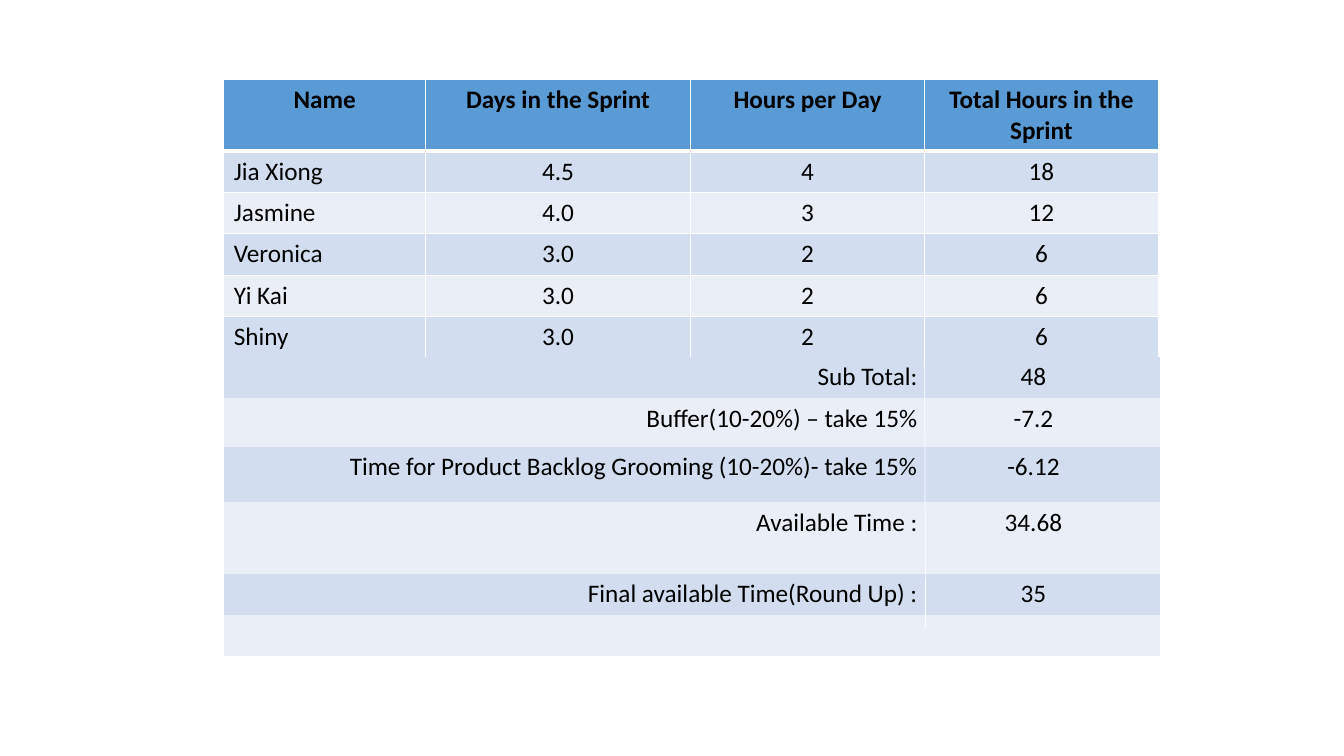
from lxml.etree import SubElement
from pptx import Presentation
from pptx.dml.color import RGBColor
from pptx.enum.shapes import MSO_CONNECTOR as Connector
from pptx.enum.text import PP_ALIGN as Align
from pptx.oxml.ns import qn
from pptx.util import Inches, Pt

HEADINGS = ("Name", "Days in the Sprint", "Hours per Day", "Total Hours in the Sprint")
MEMBERS = [
    ("Jia Xiong", "4.5", "4", "18"),
    ("Jasmine", "4.0", "3", "12"),
    ("Veronica", "3.0", "2", "6"),
    ("Yi Kai", "3.0", "2", "6"),
    ("Shiny", "3.0", "2", "6"),
]
# Label, value, row height
SUMMARY = [
    ("Sub Total:", "48", 0.41),
    ("Buffer(10-20%) – take 15%", "-7.2", 0.48),
    ("Time for Product Backlog Grooming (10-20%)- take 15%", "-6.12", 0.55),
    ("Available Time :", "34.68", 0.71),
    ("Final available Time(Round Up) :", "35", 0.41),
    ("", "", 0.41),
]
THEME = {
    "font": "Calibri",
    "size": 18,
    "text": "000000",
    "header": "5B9BD5",
    "bands": ("D2DEEF", "EAEFF7"),
    "line": "FFFFFF",
    "thin": 1,
    "thick": 3,
    "divider": 0.5,
}
LEFT = 2.22
HOURS_TOP, SUMMARY_TOP = 0.79, 3.54
HOURS_COLUMNS = (2, 2.63, 2.32, 2.32)
HEADER_HEIGHT, ROW_HEIGHT = 0.7, 0.41
SUMMARY_WIDTH = 9.29
SUMMARY_TABS = ((6.78, "r"), (7.93, "ctr"))
DIVIDER = (9.17, 3.46, 9.18, 6.22)
PLAIN_STYLE = "{2D5ABB26-0587-4C30-8999-92F81FD0307C}"


def add_plain_table(slide, top, widths, heights):
    """Add a table without style, so that only cell formats show."""
    frame = slide.shapes.add_table(
        len(heights), len(widths), Inches(LEFT), Inches(top),
        Inches(sum(widths)), Inches(sum(heights)))
    table = frame.table
    table.first_row = table.horz_banding = False
    table._tbl.tblPr.find(qn("a:tableStyleId")).text = PLAIN_STYLE
    for column, width in zip(table.columns, widths):
        column.width = Inches(width)
    for row, height in zip(table.rows, heights):
        row.height = Inches(height)
    return table


def set_borders(cell, widths):
    """Draw the borders; widths are in points by side, in schema order L, R, T, B."""
    properties = cell._tc.get_or_add_tcPr()
    for side, width in widths.items():
        line = SubElement(properties, qn(f"a:ln{side}"), w=str(Pt(width)))
        fill = SubElement(line, qn("a:solidFill"))
        SubElement(fill, qn("a:srgbClr"), val=THEME["line"])


def fill_cell(cell, text, fill, align=Align.LEFT, bold=False):
    cell.fill.solid()
    cell.fill.fore_color.rgb = RGBColor.from_string(fill)
    paragraph = cell.text_frame.paragraphs[0]
    paragraph.alignment = align
    if text:
        paragraph.add_run().text = text
    formats = {"name": THEME["font"], "size": Pt(THEME["size"]), "bold": bold}
    for item in (paragraph, *paragraph.runs):
        for name, value in formats.items():
            setattr(item.font, name, value)
        item.font.color.rgb = RGBColor.from_string(THEME["text"])
    return paragraph


def set_tabs(paragraph, tabs):
    properties = paragraph._p.get_or_add_pPr()
    tab_list = properties.makeelement(qn("a:tabLst"))
    for position, align in tabs:
        SubElement(tab_list, qn("a:tab"), pos=str(Inches(position)), algn=align)
    properties.insert(0, tab_list)


def add_hours_table(slide):
    heights = [HEADER_HEIGHT] + [ROW_HEIGHT] * len(MEMBERS)
    table = add_plain_table(slide, HOURS_TOP, HOURS_COLUMNS, heights)
    thin, thick = THEME["thin"], THEME["thick"]
    for i, row in enumerate([HEADINGS, *MEMBERS]):
        header = i == 0
        fill = THEME["header"] if header else THEME["bands"][(i - 1) % 2]
        borders = {"L": thin, "R": thin, "T": thick if i == 1 else thin,
                   "B": thick if header else thin}
        for j, text in enumerate(row):
            cell = table.cell(i, j)
            set_borders(cell, borders)
            align = Align.CENTER if header or j else Align.LEFT
            fill_cell(cell, text, fill, align, header)


def add_summary_table(slide):
    heights = [height for _, _, height in SUMMARY]
    table = add_plain_table(slide, SUMMARY_TOP, [SUMMARY_WIDTH], heights)
    for i, (label, value, _) in enumerate(SUMMARY):
        text = f"\t{label}\t{value}" if label else ""
        paragraph = fill_cell(table.cell(i, 0), text, THEME["bands"][i % 2])
        if label:
            set_tabs(paragraph, SUMMARY_TABS)


def add_divider(slide):
    connector = slide.shapes.add_connector(Connector.STRAIGHT, *map(Inches, DIVIDER))
    connector.line.color.rgb = RGBColor.from_string(THEME["line"])
    connector.line.width = Pt(THEME["divider"])
    SubElement(connector._element.spPr, qn("a:effectLst"))


def main():
    presentation = Presentation()
    presentation.slide_width = Inches(13.33)
    presentation.slide_height = Inches(7.5)
    slide = presentation.slides.add_slide(presentation.slide_layouts[6])
    add_hours_table(slide)
    add_summary_table(slide)
    add_divider(slide)
    presentation.save("out.pptx")


if __name__ == "__main__":
    main()
